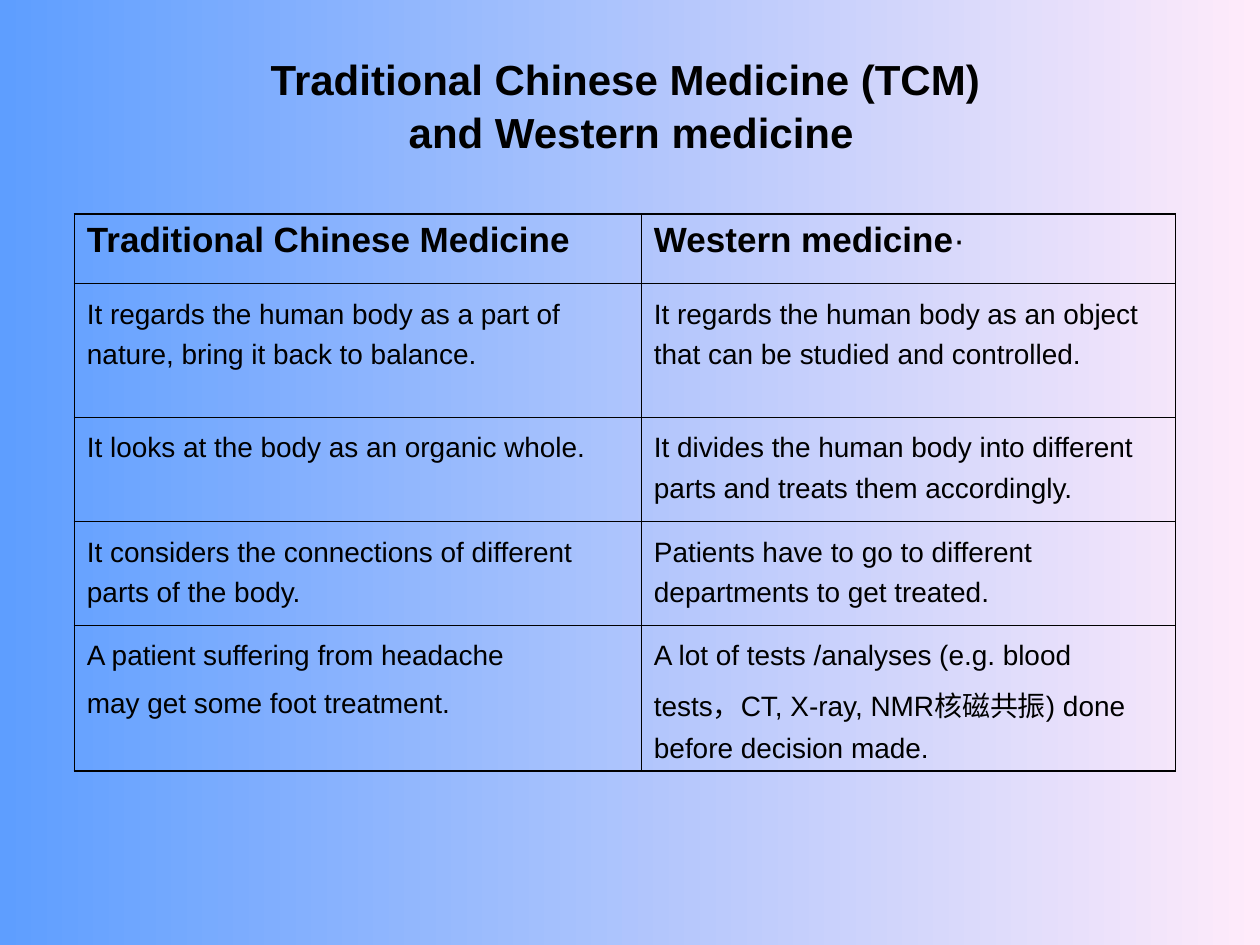
"""Build a slide comparing Chinese and Western medicine."""
from dataclasses import dataclass

import lxml.etree
import pptx
import pptx.dml.color
import pptx.enum.text
import pptx.oxml.ns
import pptx.util

Inches = pptx.util.Inches
Pt = pptx.util.Pt
RGB = pptx.dml.color.RGBColor
qn = pptx.oxml.ns.qn


@dataclass(frozen=True)
class Theme:
    font: str = "Arial"
    ink: str = "000000"
    left: str = "5E9EFF"
    right: str = "FFEBFA"
    title: float = 24
    head: float = 20
    body: float = 16
    thick: float = 1.08
    thin: float = 0.45


@dataclass(frozen=True)
class Row:
    high: float
    east: str
    west: str


THEME = Theme()
WIDTHS = (4.5, 4.24)
ROWS = (
    Row(0.55, "Traditional Chinese Medicine", "Western medicine"),
    Row(1.06, "It regards the human body as a part of nature, bring it back to balance.",
        "It regards the human body as an object that can be studied and controlled."),
    Row(0.83, "It looks at the body as an organic whole.",
        "It divides the human body into different parts and treats them accordingly."),
    Row(0.82, "It considers the connections of different parts of the body.",
        "Patients have to go to different departments to get treated."),
    Row(1.14, "A patient suffering from headache\nmay get some foot treatment.",
        "A lot of tests /analyses (e.g. blood tests，CT, X-ray, NMR核磁共振) done before decision made."),
)


def style(para, size: float) -> None:
    para.font.name = THEME.font
    para.font.size = Pt(size)
    para.font.color.rgb = RGB.from_string(THEME.ink)


def edge(cell, side: str, outer: bool) -> None:
    width = Pt(THEME.thick if outer else THEME.thin)
    line = lxml.etree.SubElement(cell._tc.get_or_add_tcPr(), qn(f"a:ln{side}"), w=str(width))
    fill = lxml.etree.SubElement(line, qn("a:solidFill"))
    lxml.etree.SubElement(fill, qn("a:srgbClr"), val=THEME.ink)


def fill_cell(cell, text: str, row: int, col: int) -> None:
    outer = {"L": col == 0, "R": col == len(WIDTHS) - 1,
             "T": row == 0, "B": row == len(ROWS) - 1}
    for side, flag in outer.items():
        edge(cell, side, flag)
    cell.fill.background()
    cell.text = text
    for para in cell.text_frame.paragraphs:
        style(para, THEME.body if row else THEME.head)
        para.space_before = Pt(4 if row else 5)
        if row:
            para.line_spacing = 1.3
        else:
            para.runs[0].font.bold = True


def add_title(slide, text: str) -> None:
    title = slide.shapes.title
    title.left, title.top = Inches(0.51), Inches(0.44)
    title.width, title.height = Inches(9), Inches(0.77)
    frame = title.text_frame
    frame.text = text
    frame.word_wrap = True
    frame.auto_size = pptx.enum.text.MSO_AUTO_SIZE.NONE
    frame.vertical_anchor = pptx.enum.text.MSO_ANCHOR.MIDDLE
    para = frame.paragraphs[0]
    style(para, THEME.title)
    para.font.bold = True
    para.alignment = pptx.enum.text.PP_ALIGN.CENTER
    para.line_spacing = 1.05


def add_grid(slide) -> None:
    high = sum(row.high for row in ROWS)
    table = slide.shapes.add_table(len(ROWS), len(WIDTHS), Inches(0.59), Inches(1.7),
                                   Inches(sum(WIDTHS)), Inches(high)).table
    table.first_row = table.horz_banding = False
    for col, width in zip(table.columns, WIDTHS):
        col.width = Inches(width)
    for i, row in enumerate(ROWS):
        table.rows[i].height = Inches(row.high)
        for j, text in enumerate((row.east, row.west)):
            fill_cell(table.cell(i, j), text, i, j)
    dot = table.cell(0, 1).text_frame.paragraphs[0].add_run()
    dot.text = "·"
    dot.font.bold = False


def main() -> None:
    deck = pptx.Presentation()
    deck.slide_width, deck.slide_height = Inches(10), Inches(7.5)
    slide = deck.slides.add_slide(deck.slide_layouts[5])
    fill = slide.background.fill
    fill.gradient()
    fill.gradient_angle = 0
    for stop, color in zip(fill.gradient_stops, (THEME.left, THEME.right)):
        stop.color.rgb = RGB.from_string(color)
    add_title(slide, "Traditional Chinese Medicine (TCM) \vand Western medicine")
    add_grid(slide)
    deck.save("out.pptx")


if __name__ == "__main__":
    main()
